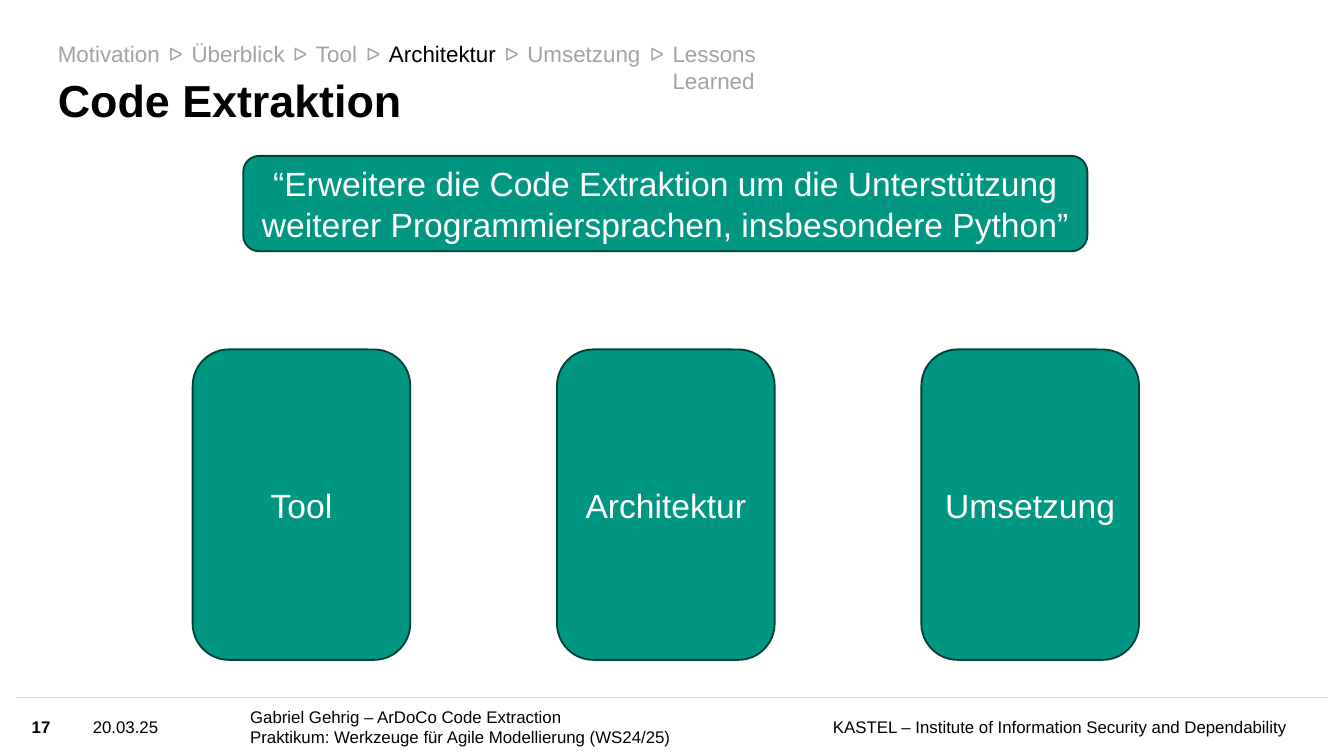
from lxml import etree
from pptx import Presentation
from pptx.dml.color import RGBColor
from pptx.enum.shapes import MSO_CONNECTOR, MSO_SHAPE
from pptx.enum.text import MSO_ANCHOR, PP_ALIGN
from pptx.oxml.ns import qn
from pptx.util import Pt

LEFT, CENTER, RIGHT = PP_ALIGN.LEFT, PP_ALIGN.CENTER, PP_ALIGN.RIGHT
TOP, MIDDLE, BOTTOM = MSO_ANCHOR.TOP, MSO_ANCHOR.MIDDLE, MSO_ANCHOR.BOTTOM
ROUNDED = MSO_SHAPE.ROUNDED_RECTANGLE
STRAIGHT = MSO_CONNECTOR.STRAIGHT

COLORS = {
    "black": "000000",
    "white": "FFFFFF",
    "muted": "A3A3A3",
    "rule": "D9D9D9",
    "green": "009682",
    "outline": "004239",
}

deck = Presentation()
deck.slide_width, deck.slide_height = Pt(720), Pt(405)
page = deck.slides.add_slide(deck.slide_layouts[6])


def write(text, *, at, size, color="black", bold=False, align=LEFT, anchor=MIDDLE,
          inset=(0, 0), wrap=True, spacing=None, card=False):
    area = [Pt(value) for value in at]
    if card:
        box = page.shapes.add_shape(ROUNDED, *area)
        box.shadow.inherit = False
        box.fill.solid()
        box.fill.fore_color.rgb = RGBColor.from_string(COLORS["green"])
        box.line.color.rgb = RGBColor.from_string(COLORS["outline"])
        box.line.width = Pt(1)
    else:
        box = page.shapes.add_textbox(*area)
    frame = box.text_frame
    frame.word_wrap = wrap
    frame.vertical_anchor = anchor
    frame.margin_left = frame.margin_right = Pt(inset[0])
    frame.margin_top = frame.margin_bottom = Pt(inset[1])
    frame.text = text
    for para in frame.paragraphs:
        para.alignment = align
        para.line_spacing = spacing
        for span in para.runs:
            span.font.name = "Arial"
            span.font.size = Pt(size)
            span.font.bold = bold
            span.font.color.rgb = RGBColor.from_string(COLORS[color])


footer_top, footer_height = 373.7, 31
footer_line = page.shapes.add_connector(STRAIGHT, Pt(8.6), Pt(footer_top), Pt(711.4), Pt(footer_top))
footer_line.line.color.rgb = RGBColor.from_string(COLORS["rule"])
footer_line.line.width = Pt(1)
etree.SubElement(footer_line._element.spPr, qn("a:effectLst"))

authors = "Gabriel Gehrig – ArDoCo Code Extraction\nPraktikum: Werkzeuge für Agile Modellierung (WS24/25)"
institute = "KASTEL – Institute of Information Security and Dependability"
for text, left, width, align, bold in [
    (authors, 134, 290, LEFT, False),
    (institute, 433.4, 255.6, RIGHT, False),
    ("20.03.25", 49.7, 80.6, LEFT, False),
    ("17", 17, 26, LEFT, True),
]:
    write(text, at=(left, footer_top, width, footer_height), size=9, align=align, bold=bold)

write("Code Extraktion", at=(31, 23, 540.7, 45.4), size=24, bold=True, anchor=BOTTOM, spacing=0.9)

for column, label in enumerate(["Tool", "Architektur", "Umsetzung"]):
    write(label, at=(103.2 + column * 195.2, 187.2, 116.6, 166.3), size=18, color="white",
          align=CENTER, inset=(7.2, 3.6), card=True)

write("“Erweitere die Code Extraktion um die Unterstützung weiterer Programmiersprachen, insbesondere Python”",
      at=(130.3, 83.5, 452.2, 51.1), size=18, color="white", align=CENTER, inset=(7.2, 3.6), card=True)

current = "Architektur"
gap = 16.6
left = 31
for index, (label, width) in enumerate([
    ("Motivation", 55),
    ("Überblick", 50.1),
    ("Tool", 22.5),
    ("Architektur", 57.5),
    ("Umsetzung", 61.2),
    ("Lessons Learned", 92),
]):
    if index:
        write("ᐅ", at=(left - 20, 19.4, 23, 19.4), size=10, color="muted", align=CENTER,
              anchor=TOP, inset=(0, 3.6))
    write(label, at=(left, 18, width, 21.6), size=12, color="black" if label == current else "muted",
          anchor=TOP, inset=(0, 3.6), wrap=False)
    left += width + gap

deck.save("out.pptx")
